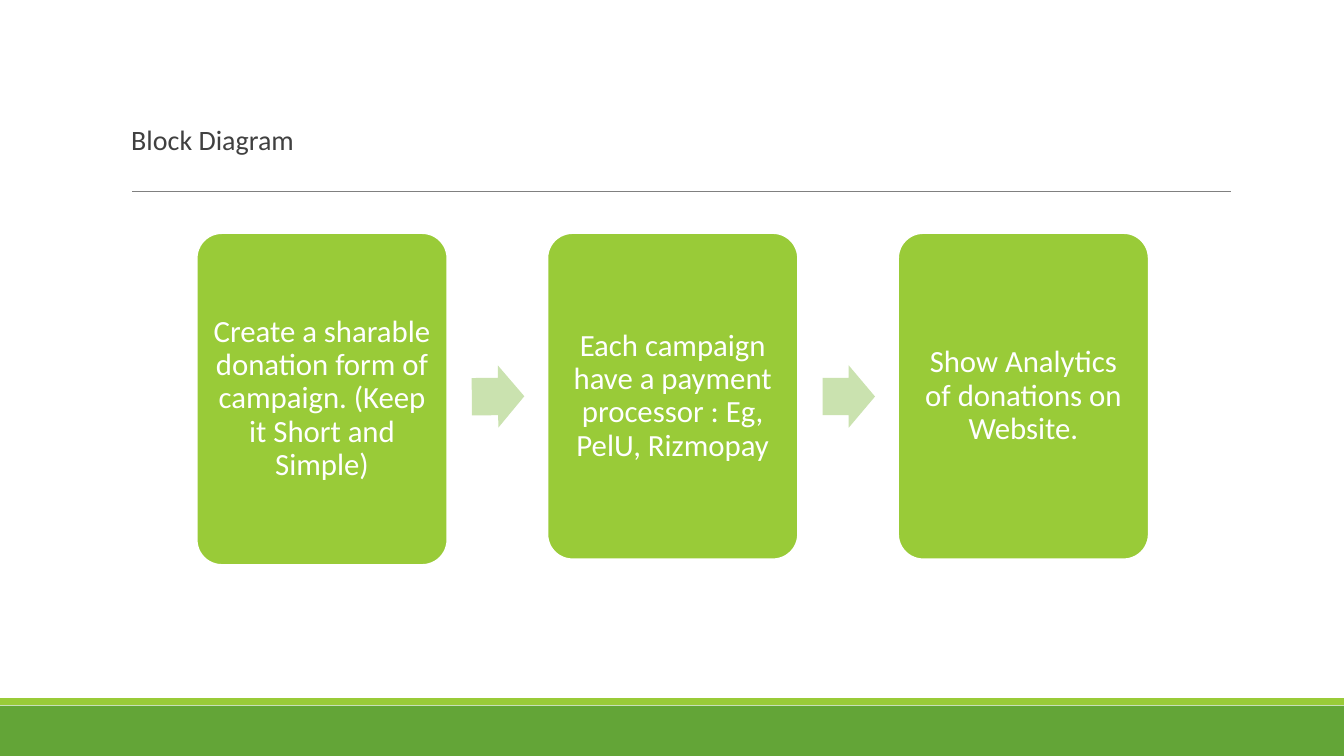
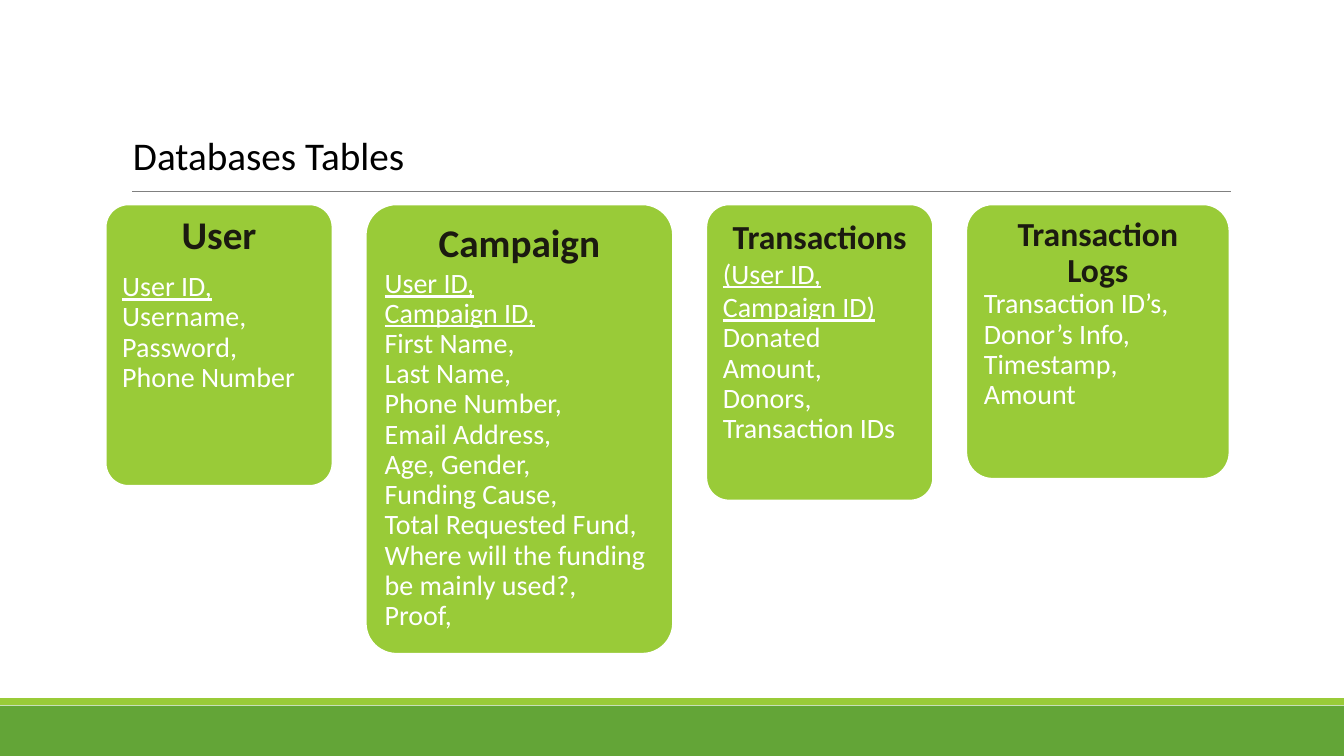
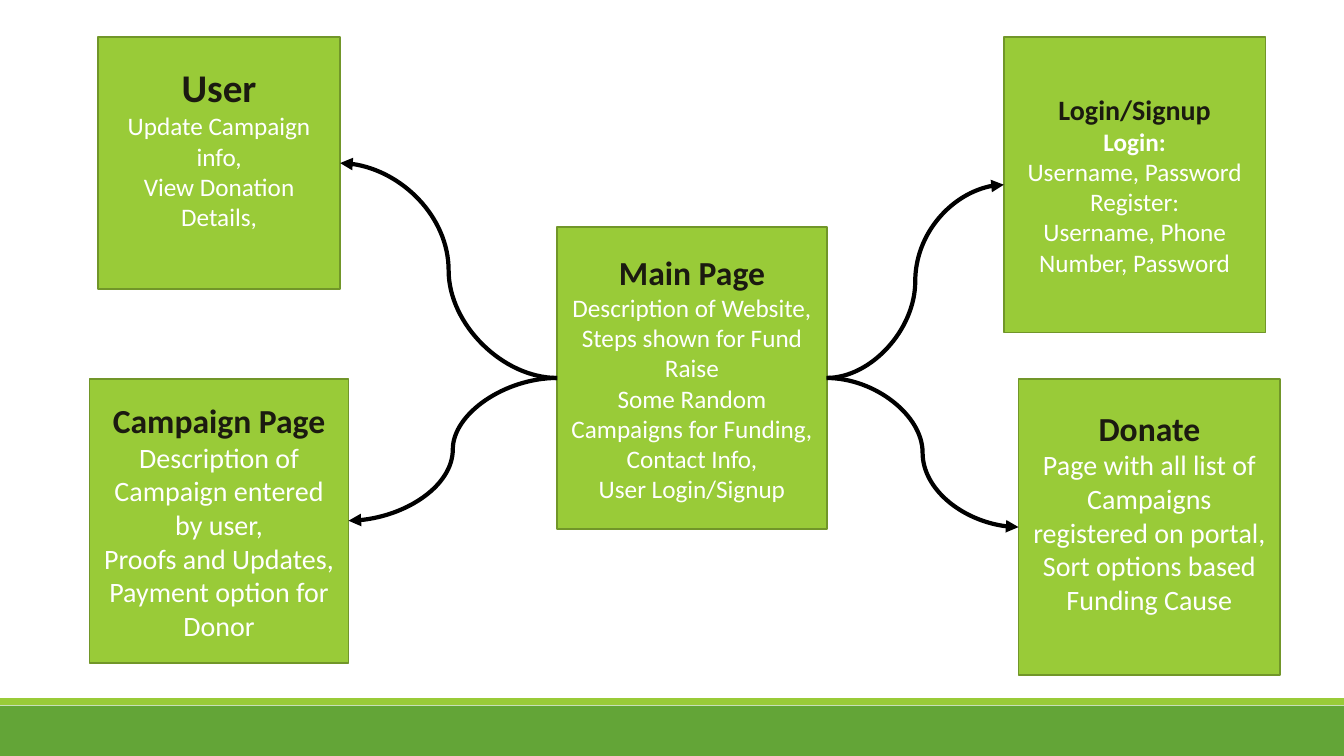
from dataclasses import dataclass
from pptx import Presentation
from pptx.dml.color import RGBColor
from pptx.enum.shapes import MSO_CONNECTOR as Link, MSO_SHAPE as Form
from pptx.enum.text import MSO_ANCHOR as Anchor, MSO_AUTO_SIZE as Fit, PP_ALIGN as Align
from pptx.oxml.ns import qn
from pptx.util import Pt
from lxml.etree import SubElement

FONT = "Calibri"
LIME, GREEN, OLIVE, PALE = "99CB38", "63A537", "719629", "CAE2AF"
WHITE, INK, BLACK, GRAY, TITLE_GRAY = "FFFFFF", "1B1A10", "000000", "808080", "404040"
LEFT_SITE, RIGHT_SITE = 1, 3


@dataclass
class Line:
    text: str
    size: float
    color: str = WHITE
    bold: bool = False
    underline: bool = False
    align: Align = Align.CENTER
    spacing: float = 1
    after: float = 0


def paint(target, color):
    if hasattr(target, "solid"):
        target.solid()
        target.fore_color.rgb = RGBColor.from_string(color)
    else:
        target.color.rgb = RGBColor.from_string(color)


def write(frame, lines, anchor):
    frame.word_wrap = True
    frame.auto_size = Fit.NONE
    frame.vertical_anchor = anchor
    for index, line in enumerate(lines):
        paragraph = frame.paragraphs[0] if index == 0 else frame.add_paragraph()
        paragraph.alignment = line.align
        paragraph.line_spacing = line.spacing
        paragraph.space_before = Pt(0)
        paragraph.space_after = Pt(line.after)
        run = paragraph.add_run()
        run.text = line.text
        run.font.name = FONT
        run.font.size = Pt(line.size)
        run.font.bold = line.bold
        run.font.underline = line.underline
        paint(run.font, line.color)


def block(slide, form, place, fill, outline=None):
    shape = slide.shapes.add_shape(form, *map(Pt, place))
    shape.shadow.inherit = False
    paint(shape.fill, fill)
    if outline:
        paint(shape.line, outline)
        shape.line.width = Pt(1.25)
    else:
        shape.line.fill.background()
    return shape


def card(slide, place, lines, anchor):
    shape = block(slide, Form.ROUNDED_RECTANGLE, place, LIME, WHITE)
    shape.adjustments[0] = 0.1
    write(shape.text_frame, lines, anchor)
    return shape


def connector(slide, kind, ends, color, width):
    line = slide.shapes.add_connector(kind, *map(Pt, ends))
    paint(line.line, color)
    line.line.width = Pt(width)
    SubElement(line.element.spPr, qn("a:effectLst"))
    return line


def move_to(parent, shapes):
    for number, shape in enumerate(shapes, 101):
        shape.element.xpath(".//p:cNvPr")[0].set("id", str(number))
        parent.shapes.element.append(shape.element)


def share_decoration(slide):
    layout = slide.slide_layout
    move_to(layout.slide_master, [
        block(slide, Form.RECTANGLE, (0, 504, 960, 36), GREEN),
        block(slide, Form.RECTANGLE, (0, 498.75, 960, 4.75), LIME),
    ])
    move_to(layout, [connector(slide, Link.STRAIGHT, (94.5, 136.5, 879, 136.5), GRAY, 0.5)])


def set_title(slide, place, line):
    title = slide.shapes.title
    title.left, title.top, title.width, title.height = map(Pt, place)
    title.text_frame.margin_left = title.text_frame.margin_right = Pt(0)
    write(title.text_frame, [line], Anchor.TOP)


def block_diagram(slide):
    set_title(slide, (93.75, 86.5, 622, 57),
              Line("Block Diagram", 20, TITLE_GRAY, align=Align.LEFT, spacing=0.9))
    step = 250.5
    stages = [
        ("Create a sharable donation form of campaign. (Keep it Short and Simple)", 237),
        ("Each campaign have a payment processor : Eg, PelU, Rizmopay", 233),
        ("Show Analytics of donations on Website.", 233),
    ]
    for index, (text, height) in enumerate(stages):
        stage = card(slide, (140.5 + index * step, 166.5, 179, height),
                     [Line(text, 22, spacing=0.9)], Anchor.MIDDLE)
        frame = stage.text_frame
        frame.margin_left = frame.margin_right = Pt(6.5)
        frame.margin_top = frame.margin_bottom = Pt(6.5)
    for index, tilt in enumerate((-0.5, 0)):
        arrow = block(slide, Form.RIGHT_ARROW, (337 + index * step, 261, 37.5, 44.5), PALE)
        arrow.adjustments[0] = 0.6
        arrow.rotation = tilt


def database_tables(slide):
    set_title(slide, (95, 90, 196, 41), Line("Databases Tables", 28, BLACK, align=Align.LEFT))
    tables = [
        ("User", 28, 0.9, 10, 162, 201, ["User ID,"],
         ["Username,", "Password,", "Phone Number"]),
        ("Campaign", 28, 1, 0, 219.5, 321, ["User ID,", "Campaign ID,"],
         ["First Name,", "Last Name,", "Phone Number,", "Email Address,", "Age, Gender,",
          "Funding Cause,", "Total Requested Fund,",
          "Where will the funding be mainly used?,", "Proof,"]),
        ("Transactions", 24, 1, 0, 162, 211.5, ["(User ID, Campaign ID)"],
         ["Donated Amount,", "Donors,", "Transaction IDs"]),
        ("Transaction Logs", 24, 0.9, 0, 188, 196, [],
         ["Transaction ID’s,", "Donor’s Info,", "Timestamp,", "Amount"]),
    ]
    left, gap = 75.5, 23.75
    for name, size, lead, after, width, height, keys, fields in tables:
        lines = [Line(name, size, INK, bold=True, spacing=lead, after=after)]
        for index, column in enumerate(keys + fields):
            lines.append(Line(column, 20, underline=index < len(keys), align=Align.LEFT,
                              spacing=lead if index == 0 else 0.9))
        card(slide, (left, 146, width, height), lines, Anchor.TOP)
        left += width + gap


def page(slide, place, heading, size, texts, text_size, strong=(), lift=0):
    shape = block(slide, Form.RECTANGLE, place, LIME, OLIVE)
    lines = [Line(heading, size, INK, bold=True)]
    lines += [Line(text, text_size, bold=text in strong) for text in texts]
    write(shape.text_frame, lines, Anchor.MIDDLE)
    shape.text_frame.margin_bottom = Pt(3.6 + lift)
    return shape


def curved_arrow(slide, source, source_site, target, target_site):
    arrow = connector(slide, Link.CURVE, (0, 0, 10, 10), BLACK, 3)
    arrow.begin_connect(source, source_site)
    arrow.end_connect(target, target_site)
    SubElement(arrow.line._get_or_add_ln(), qn("a:tailEnd"), type="triangle")


def site_map(slide):
    main_page = page(slide, (398, 162, 192.5, 216), "Main Page", 24,
                     ["Description of Website,", "Steps shown for Fund Raise",
                      "Some Random Campaigns for Funding,", "Contact Info,",
                      "User Login/Signup"], 18)
    campaign = page(slide, (64, 270.5, 185, 203), "Campaign Page", 24,
                    ["Description of Campaign entered by user,", "Proofs and Updates,",
                     "Payment option for Donor"], 20)
    user = page(slide, (70, 26.5, 173, 180), "User", 28,
                ["Update Campaign info,", "View Donation Details,"], 18, lift=22)
    donate = page(slide, (727.5, 271, 187, 211), "Donate", 24,
                  ["Page with all list of Campaigns registered on portal,",
                   "Sort options based Funding Cause"], 20, lift=22)
    login = page(slide, (717, 26.5, 187, 211), "Login/Signup", 20,
                 ["Login:", "Username, Password", "Register:",
                  "Username, Phone Number, Password"], 18, strong=("Login:",))
    for target in (user, campaign):
        curved_arrow(slide, main_page, LEFT_SITE, target, RIGHT_SITE)
    for target in (login, donate):
        curved_arrow(slide, main_page, RIGHT_SITE, target, LEFT_SITE)


def main():
    deck = Presentation()
    deck.slide_width, deck.slide_height = Pt(960), Pt(540)
    title_only, blank = deck.slide_layouts[5], deck.slide_layouts[6]
    first = deck.slides.add_slide(title_only)
    share_decoration(first)
    block_diagram(first)
    database_tables(deck.slides.add_slide(title_only))
    site_map(deck.slides.add_slide(blank))
    deck.save("out.pptx")


main()
